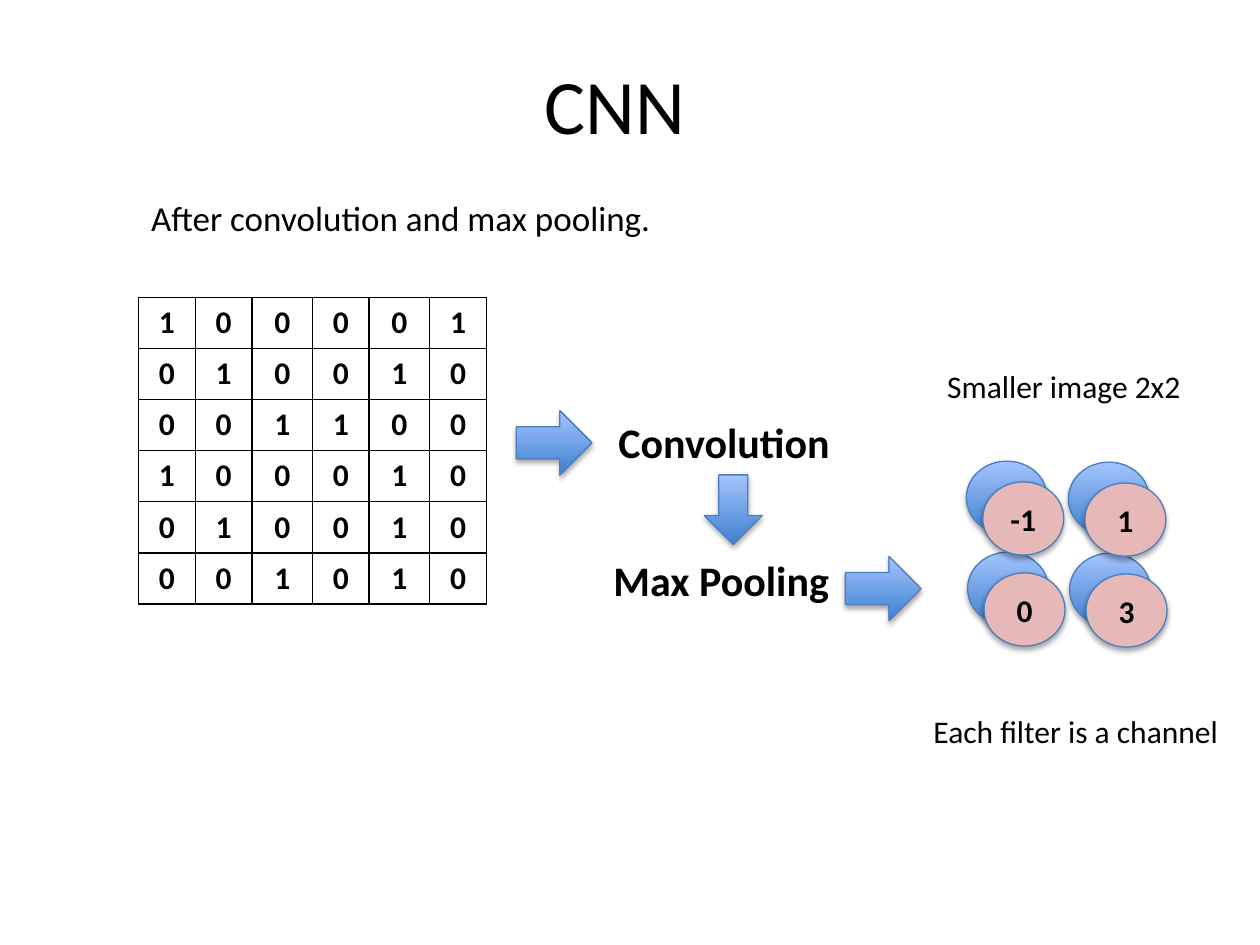
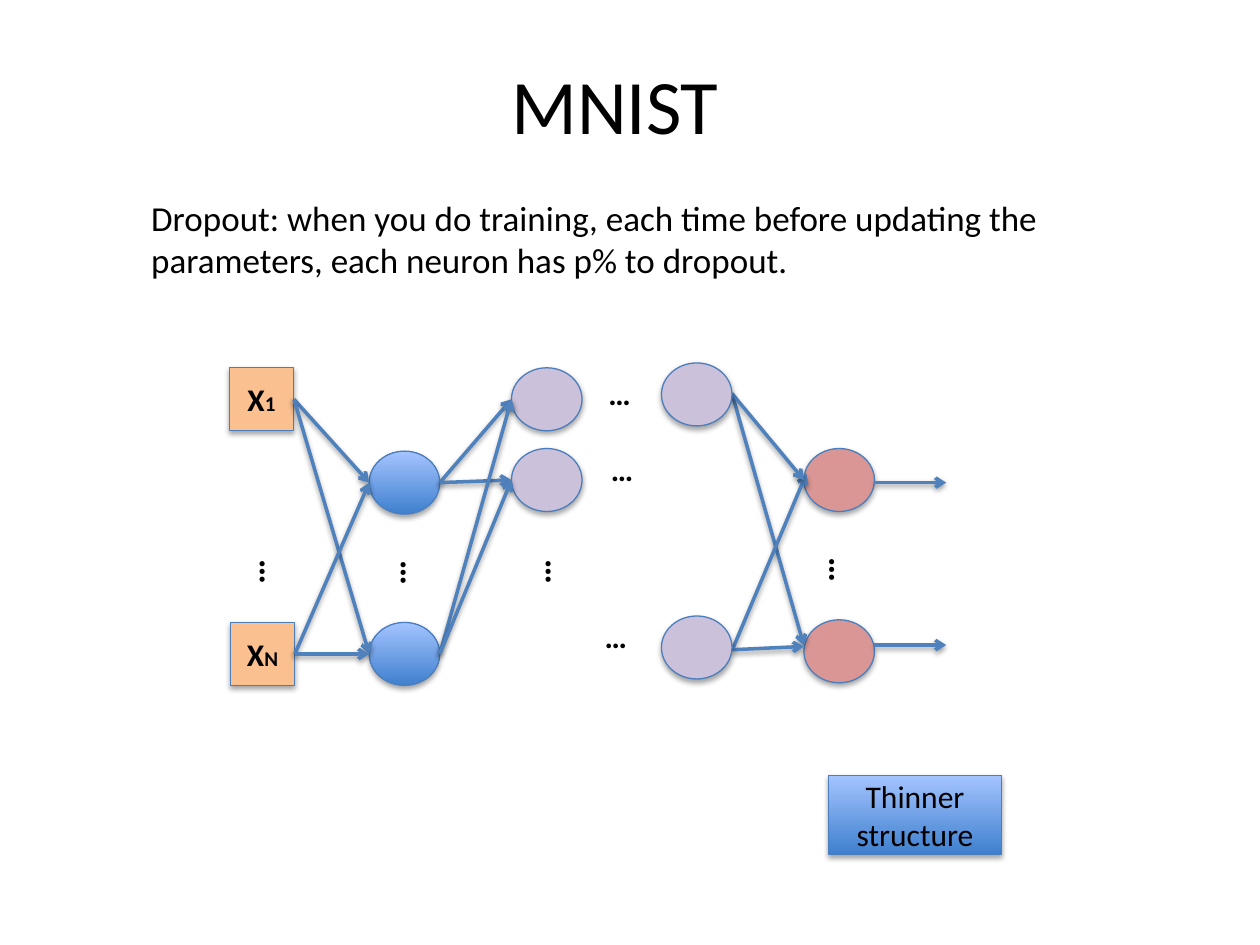
from itertools import product

from lxml.etree import SubElement
from pptx import Presentation
from pptx.dml.color import RGBColor
from pptx.enum.shapes import MSO_CONNECTOR as Connector, MSO_SHAPE as Preset
from pptx.enum.text import MSO_ANCHOR as Anchor, MSO_AUTO_SIZE as AutoSize, PP_ALIGN as Align
from pptx.oxml.ns import qn
from pptx.util import Pt

FONT = "Calibri"
BLACK = RGBColor(0x00, 0x00, 0x00)
WHITE = RGBColor(0xFF, 0xFF, 0xFF)
BLUE_DARK = RGBColor(0x3F, 0x80, 0xCE)
BLUE_LIGHT = RGBColor(0xA4, 0xC4, 0xFF)
OUTLINE = RGBColor(0x4B, 0x7E, 0xBC)
ARROW = RGBColor(0x4F, 0x81, 0xBD)
PINK = RGBColor(0xE6, 0xB9, 0xB8)
ORANGE = RGBColor(0xFA, 0xC0, 0x90)
PURPLE = RGBColor(0xCC, 0xC1, 0xDA)
RED = RGBColor(0xD9, 0x96, 0x94)

IMAGE = ("100001", "010010", "001100", "100010", "010010", "001010")
COLUMN_WIDTHS = (32.4, 32.4, 34.6, 32.4, 34.6, 32.4)
ROW_HEIGHT = 29.2
CHANNEL_VALUES = (("-1", "1"), ("0", "3"))
NEURON = (40.3, 36)


def write(text_frame, text, size=18, bold=False, align=Align.LEFT, before=0):
    paragraph = text_frame.paragraphs[0]
    paragraph.alignment = align
    paragraph.space_before = Pt(before)
    run = paragraph.add_run()
    run.text = text
    run.font.name = FONT
    run.font.size = Pt(size)
    run.font.bold = bold
    run.font.color.rgb = BLACK


def cast_shadow(shape, opacity, distance):
    effects = SubElement(shape.element.spPr, qn("a:effectLst"))
    shadow = SubElement(effects, qn("a:outerShdw"), blurRad=str(Pt(3.1)),
                        dist=str(Pt(distance)), dir="5400000", rotWithShape="0")
    color = SubElement(shadow, qn("a:srgbClr"), val=str(BLACK))
    SubElement(color, qn("a:alpha"), val=str(opacity * 1000))


def place(shape, left, top, width, height):
    shape.left, shape.top = Pt(left), Pt(top)
    shape.width, shape.height = Pt(width), Pt(height)


class Deck:
    def __init__(self):
        self.presentation = Presentation()
        self.presentation.slide_width = Pt(720)
        self.presentation.slide_height = Pt(540)
        self.slide = None

    def add_slide(self, title, body, body_width):
        self.slide = self.presentation.slides.add_slide(self.presentation.slide_layouts[0])
        heading, subtitle = self.slide.placeholders
        place(heading, 45.4, 28, 612, 62)
        place(subtitle, 79.2, 108.7, body_width, 380)
        for placeholder, anchor in ((heading, Anchor.MIDDLE), (subtitle, Anchor.TOP)):
            placeholder.text_frame.auto_size = AutoSize.NONE
            placeholder.text_frame.vertical_anchor = anchor
        write(heading.text_frame, title, size=44, align=Align.CENTER)
        write(subtitle.text_frame, body, size=20, before=4)

    def shape(self, preset, left, top, width, height, color=None):
        shape = self.slide.shapes.add_shape(preset, Pt(left), Pt(top), Pt(width), Pt(height))
        if color is None:
            shape.fill.gradient()
            shape.fill.gradient_angle = 90
            for stop, position, shade in zip(shape.fill.gradient_stops, (0, 1),
                                             (BLUE_DARK, BLUE_LIGHT)):
                stop.position = position
                stop.color.rgb = shade
        else:
            shape.fill.solid()
            shape.fill.fore_color.rgb = color
        shape.line.color.rgb = OUTLINE
        shape.line.width = Pt(0.75)
        cast_shadow(shape, 35, 1.8)
        return shape

    def label(self, text, left, top, width, height=28.8, **style):
        box = self.slide.shapes.add_textbox(Pt(left), Pt(top), Pt(width), Pt(height))
        box.text_frame.word_wrap = False
        box.text_frame.auto_size = AutoSize.SHAPE_TO_FIT_TEXT
        write(box.text_frame, text, **style)

    def vertical_dots(self, left, top):
        box = self.slide.shapes.add_textbox(Pt(left), Pt(top), Pt(38.9), Pt(47.5))
        box.text_frame.word_wrap = True
        box.text_frame.margin_top = Pt(11.7)
        box.text_frame._txBody.bodyPr.set("vert", "eaVert")
        write(box.text_frame, "…", size=20, bold=True)

    def arrow(self, start, end):
        connector = self.slide.shapes.add_connector(
            Connector.STRAIGHT, *(Pt(length) for length in (*start, *end)))
        connector.line.color.rgb = ARROW
        connector.line.width = Pt(2)
        line = connector.element.spPr.find(qn("a:ln"))
        SubElement(line, qn("a:tailEnd"), type="arrow")
        cast_shadow(connector, 38, 1.6)

    def grid(self, rows, left, top):
        frame = self.slide.shapes.add_table(
            len(rows), len(COLUMN_WIDTHS), Pt(left), Pt(top),
            Pt(sum(COLUMN_WIDTHS)), Pt(ROW_HEIGHT * len(rows)))
        table = frame.table
        table.first_row = table.horz_banding = False
        for column, width in zip(table.columns, COLUMN_WIDTHS):
            column.width = Pt(width)
        for row, values in zip(table.rows, rows):
            row.height = Pt(ROW_HEIGHT)
            for cell, value in zip(row.cells, values):
                self.border(cell)
                cell.fill.solid()
                cell.fill.fore_color.rgb = WHITE
                write(cell.text_frame, value, bold=True, align=Align.CENTER)

    def border(self, cell):
        properties = cell._tc.get_or_add_tcPr()
        for side in "LRTB":
            line = SubElement(properties, qn(f"a:ln{side}"), w=str(Pt(1)))
            fill = SubElement(line, qn("a:solidFill"))
            SubElement(fill, qn("a:srgbClr"), val=str(BLACK))


def build_cnn(deck):
    deck.add_slide("CNN", "After convolution and max pooling.", 540.7)
    deck.grid(IMAGE, 79.2, 169.9)
    positions = [(row, column, 552.2 + 58.3 * column + 0.7 * row,
                  263.5 + 52 * row + 0.6 * column)
                 for row, column in product(range(2), repeat=2)]
    for _, _, left, top in positions:
        deck.shape(Preset.OVAL, left, top, 46.3, 41.8)
    deck.shape(Preset.RIGHT_ARROW, 295, 234.7, 43.3, 36.8)
    deck.label("Convolution", 346.3, 234.7, 136.8, 36, size=24, bold=True)
    deck.shape(Preset.DOWN_ARROW, 402.5, 271.4, 33.1, 39.8)
    deck.label("Max Pooling", 343.4, 313.2, 139.7, 36, size=24, bold=True)
    deck.shape(Preset.RIGHT_ARROW, 483.1, 318, 43.3, 36.8)
    deck.label("Smaller image 2x2", 534.2, 206, 149)
    for row, column, left, top in positions:
        channel = deck.shape(Preset.OVAL, left + 9.4, top + 11.9, 46.3, 41.8, PINK)
        write(channel.text_frame, CHANNEL_VALUES[row][column], bold=True, align=Align.CENTER)
    deck.label("Each filter is a channel", 526.3, 403.2, 179.3)


def build_mnist(deck):
    deck.add_slide("MNIST", "Dropout: when you do training, each time before updating the "
                   "parameters, each neuron has p% to dropout.", 579)
    for subscript, left, top in (("1", 131, 210.2), ("N", 131.6, 355.7)):
        node = deck.shape(Preset.RECTANGLE, left, top, 36.9, 36, ORANGE)
        write(node.text_frame, "X", bold=True, align=Align.CENTER)
        write(node.text_frame, subscript, size=12, bold=True, align=Align.CENTER)

    layers = ((211, (257.8, 355.7), None), (292.3, (210.2, 256.3), PURPLE),
              (459.4, (256.3, 354.2), RED))
    for left, tops, color in layers:
        for top in tops:
            deck.shape(Preset.OVAL, left, top, *NEURON, color)

    inputs = ((168, 228.2), (168.5, 373.7))
    first_in = ((211, 275.8), (211, 373.7))
    first_out = ((251.3, 275.8), (251.3, 373.7))
    second_in = ((292.3, 228.2), (292.3, 274.3))
    for start, end in (*product(inputs, first_in), *product(first_out, second_in)):
        deck.arrow(start, end)
    for start, end in (((418.3, 224.9), (459.4, 368.9)), ((419, 370.1), (460.8, 270.7)),
                       ((418.3, 371.3), (459.4, 369.4)), ((418.3, 224.9), (459.4, 274.3))):
        deck.arrow(start, end)

    for left, top in ((133.2, 308.2), (213.8, 308.9), (296.6, 308.2), (458.6, 306.7)):
        deck.vertical_dots(left, top)
    for left, top, width in ((340.6, 210.2, 59), (342, 253.4, 51.8), (338.4, 349.2, 48.2)):
        deck.label("…", left, top, width, bold=True)
    for height in (275.8, 368.6):
        deck.arrow((499.7, height), (540.7, height))

    summary = deck.shape(Preset.FLOWCHART_PROCESS, 473.5, 443, 98.8, 45.2)
    summary.text_frame.word_wrap = True
    write(summary.text_frame, "Thinner structure", align=Align.CENTER)
    for top in (207.4, 352):
        deck.shape(Preset.OVAL, 378, top, *NEURON, PURPLE)


def main():
    deck = Deck()
    build_cnn(deck)
    build_mnist(deck)
    deck.presentation.save("out.pptx")


if __name__ == "__main__":
    main()
